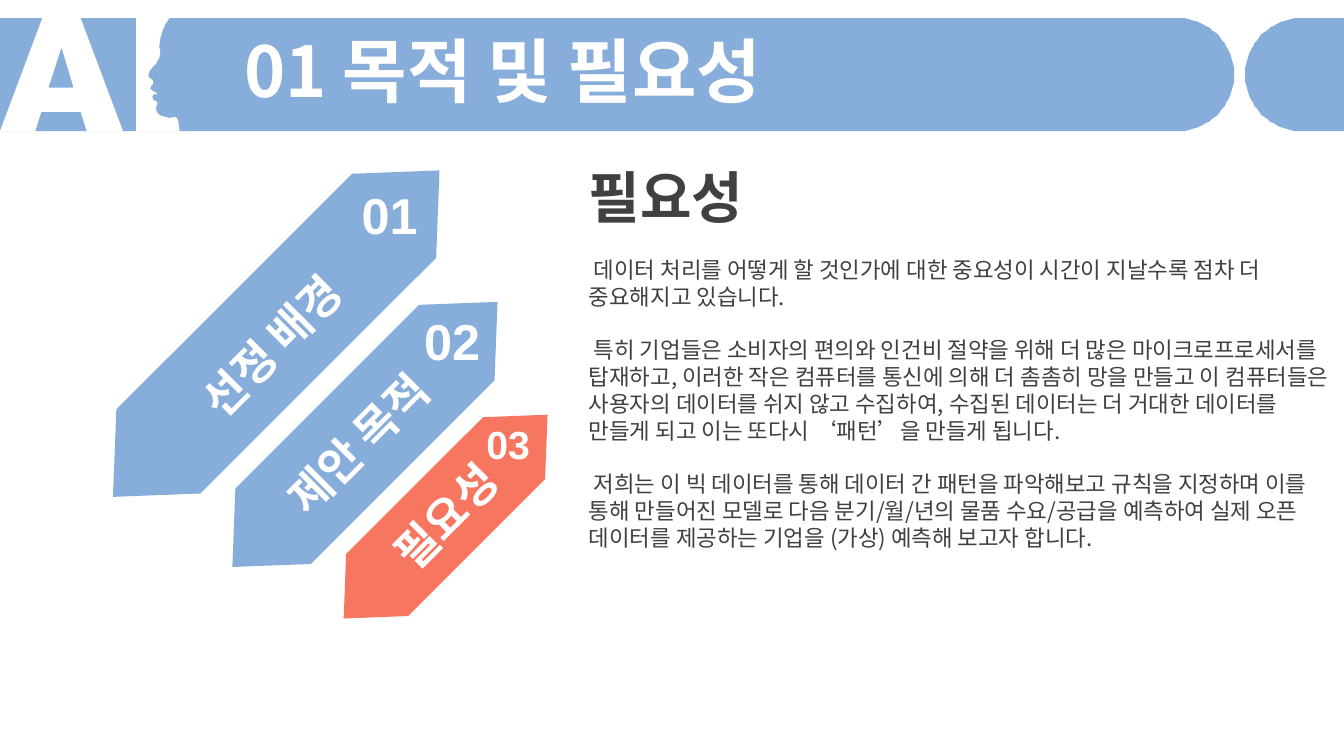
from math import cos, pi, sin

from lxml.etree import SubElement
from pptx import Presentation
from pptx.dml.color import RGBColor
from pptx.enum.shapes import MSO_SHAPE as Preset
from pptx.enum.text import MSO_ANCHOR as Anchor, MSO_AUTO_SIZE as AutoSize, PP_ALIGN as Align
from pptx.oxml.ns import qn
from pptx.util import Pt

PX = 9144
BLUE = RGBColor(0x87, 0xAD, 0xDB)
CORAL = RGBColor(0xF7, 0x76, 0x60)
WHITE = RGBColor(0xFF, 0xFF, 0xFF)
GRAY = RGBColor(0x40, 0x40, 0x40)
KOREAN = "Noto Sans CJK KR"

deck = Presentation()
deck.slide_width, deck.slide_height = 1333 * PX, 750 * PX
slide = deck.slides.add_slide(deck.slide_layouts[1])
shapes = slide.shapes


def paint(shape, color):
    shape.shadow.inherit = False
    shape.fill.solid()
    shape.fill.fore_color.rgb = color
    shape.line.fill.background()


def write(shape, box, text, font, align=Align.LEFT, anchor=Anchor.TOP, before=0, spacing=1.0):
    shape.left, shape.top, shape.width, shape.height = [n * PX for n in box]
    frame = shape.text_frame
    frame.word_wrap, frame.auto_size, frame.vertical_anchor = True, AutoSize.NONE, anchor
    paragraph = frame.paragraphs[0] if not frame.text else frame.add_paragraph()
    layout = {"alignment": align, "space_before": Pt(before), "line_spacing": spacing}
    for key, value in layout.items():
        setattr(paragraph, key, value)
    properties = paragraph._p.get_or_add_pPr()
    properties.set("marL", "0")
    properties.set("indent", "0")
    SubElement(properties, qn("a:buNone"))
    run = paragraph.add_run()
    run.text = text
    for key, value in font.items():
        if key == "color":
            run.font.color.rgb = value
        else:
            setattr(run.font, key, value)
    SubElement(run._r.get_or_add_rPr(), qn("a:ea")).set("typeface", KOREAN)


TOP, BOTTOM, RADIUS = 18, 130, 56
cap = [(RADIUS * sin(pi * step / 48), 74 - RADIUS * cos(pi * step / 48)) for step in range(49)]
band = [(0, TOP)] + [(1168 + x, y) for x, y in cap] + [(0, BOTTOM)]
band_end = [(1333, TOP)] + [(1291 - x, y) for x, y in cap] + [(1333, BOTTOM)]
letter = [(42, 18), (80, 18), (122, 130), (86, 130), (80, 111), (41, 111), (35, 130), (0, 130)]
letter_hole = [(61, 47), (48, 87), (73, 87)]
profile = [
    (135, 18), (168, 18), (164, 24), (161, 31), (159, 38), (158, 46), (159, 53), (158, 57),
    (155, 63), (151, 67), (148, 71), (147, 75), (148, 77), (151, 79), (152, 81), (152, 83),
    (150, 85), (149, 88), (151, 90), (155, 92), (156, 93), (152, 94), (151, 96), (152, 99),
    (156, 101), (156, 103), (155, 106), (155, 110), (157, 113), (160, 115), (164, 116),
    (168, 117), (174, 116), (176, 118), (177, 122), (178, 128), (178, 130), (135, 130),
]
for contours, color in [
    ([band], BLUE),
    ([letter, letter_hole, profile], WHITE),
    ([band_end], BLUE),
]:
    outline = shapes.build_freeform(*contours[0][0], scale=PX)
    outline.add_line_segments(contours[0][1:], close=True)
    for contour in contours[1:]:
        outline.move_to(*contour[0])
        outline.add_line_segments(contour[1:], close=True)
    paint(outline.convert_to_shape(), color)

heading = shapes.title
heading.element.getparent().append(heading.element)
write(heading, (232, 37, 1069, 79), "01 목적 및 필요성",
      {"name": KOREAN, "size": Pt(50), "bold": True, "color": WHITE},
      anchor=Anchor.MIDDLE, before=10, spacing=0.8)

ribbons = [
    ((45, 272, 458, 118), BLUE, "01", (343, 178, 87, 71), 36, "선정 배경", (155, 311, 229, 64)),
    ((176, 378, 372, 106), BLUE, "02", (405, 303, 87, 71), 36, "제안 목적", (241, 408, 228, 64)),
    ((299, 469, 286, 87), CORAL, "03", (468, 412, 72, 57), 28, "필요성", (351, 480, 182, 64)),
]
for box, color, number, number_box, number_size, topic, topic_box in ribbons:
    ribbon = shapes.add_shape(Preset.HEXAGON, *[n * PX for n in box])
    ribbon.adjustments[0] = 0.54
    ribbon.rotation = 315
    paint(ribbon, color)
    write(shapes.add_textbox(0, 0, 0, 0), number_box, number,
          {"name": "Arial", "size": Pt(number_size), "bold": True, "color": WHITE}, Align.CENTER)
    label = shapes.add_textbox(0, 0, 0, 0)
    write(label, topic_box, topic,
          {"name": KOREAN, "size": Pt(32), "bold": True, "color": WHITE}, Align.CENTER)
    label.rotation = 315

necessity = [
    ("필요성", 40, True, 0),
    (" 데이터 처리를 어떻게 할 것인가에 대한 중요성이 시간이 지날수록 점차 더 중요해지고 있습니다.",
     16, False, 19),
    (" 특히 기업들은 소비자의 편의와 인건비 절약을 위해 더 많은 마이크로프로세서를 탑재하고, "
     "이러한 작은 컴퓨터를 통신에 의해 더 촘촘히 망을 만들고 이 컴퓨터들은 사용자의 데이터를 "
     "쉬지 않고 수집하여, 수집된 데이터는 더 거대한 데이터를 만들게 되고 이는 또다시 ‘패턴’을 "
     "만들게 됩니다.", 16, False, 19),
    (" 저희는 이 빅 데이터를 통해 데이터 간 패턴을 파악해보고 규칙을 지정하며 이를 통해 만들어진 "
     "모델로 다음 분기/월/년의 물품 수요/공급을 예측하여 실제 오픈 데이터를 제공하는 기업을 (가상) "
     "예측해 보고자 합니다.", 16, False, 19),
]
for text, size, bold, before in necessity:
    write(slide.placeholders[1], (574, 156, 758, 454), text,
          {"name": KOREAN, "size": Pt(size), "bold": bold, "color": GRAY}, before=before)

deck.save("out.pptx")
